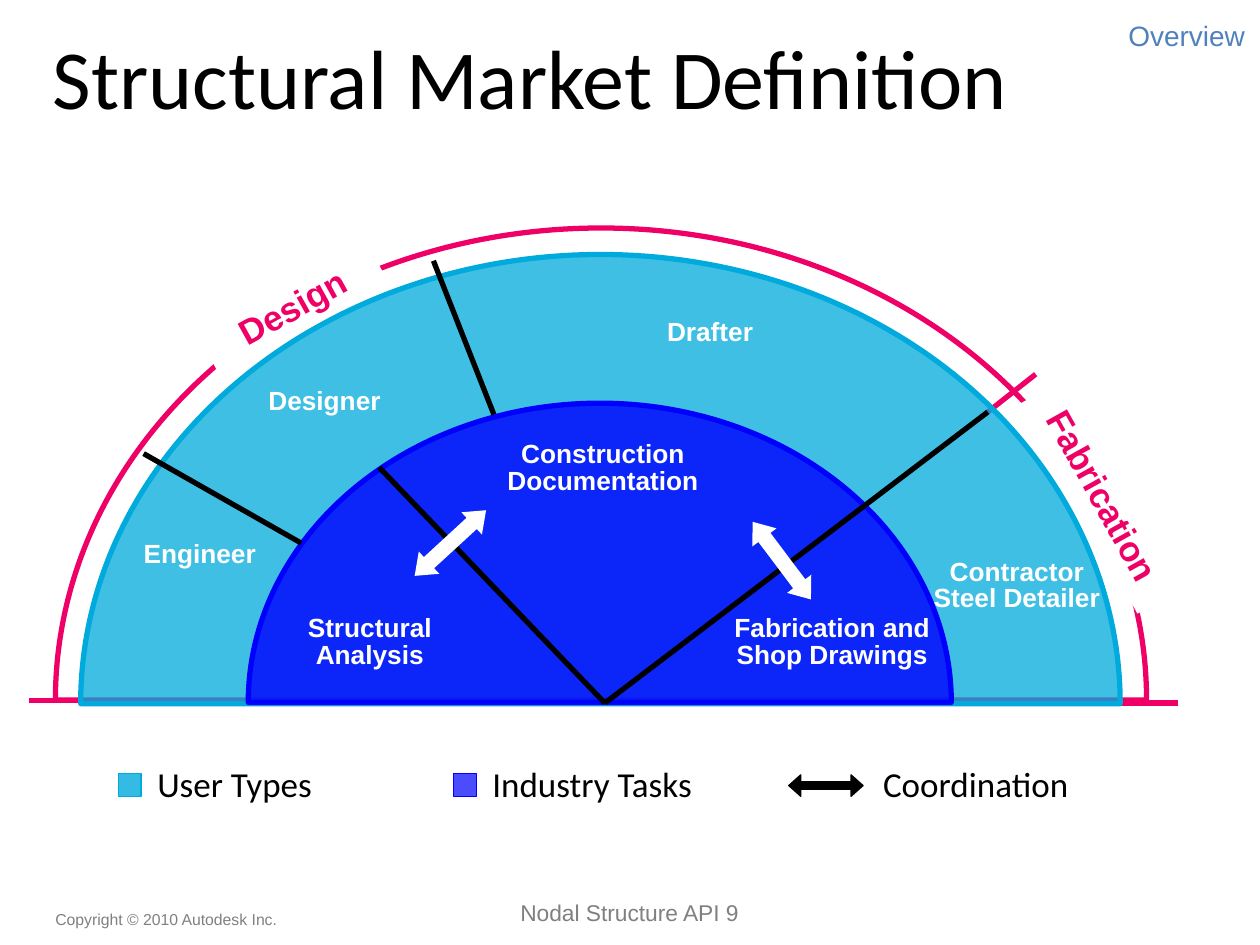
from lxml import etree
from pptx import Presentation
from pptx.dml.color import RGBColor
from pptx.enum.shapes import MSO_CONNECTOR, MSO_SHAPE
from pptx.enum.text import MSO_ANCHOR as Anchor, PP_ALIGN as Align
from pptx.oxml.ns import qn
from pptx.util import Pt

PX = 9144
COLORS = {
    "black": "000000",
    "white": "FFFFFF",
    "pink": "EE0066",
    "user": "00AADD",
    "task": "0000FF",
    "section": "4F81BD",
    "footer": "808080",
}


def rgb(name):
    return RGBColor.from_string(COLORS[name])


def px(*lengths):
    return [length * PX for length in lengths]


def set_alpha(fill, percent):
    color = fill._xPr.find(qn("a:solidFill"))[0]
    etree.SubElement(color, qn("a:alpha"), val=str(percent * 1000))


def add_text_shadow(run):
    fill = run.font._element.find(qn("a:solidFill"))
    effects = etree.Element(qn("a:effectLst"))
    shadow = etree.SubElement(effects, qn("a:outerShdw"),
                              dist="17961", dir="2700000")
    etree.SubElement(shadow, qn("a:srgbClr"), val=COLORS["black"])
    fill.addnext(effects)


def write(shape, text, font, size, color, align=Align.LEFT, bold=False,
          spacing=None, shadow=False):
    shape.text_frame.text = text
    for paragraph in shape.text_frame.paragraphs:
        paragraph.alignment = align
        paragraph.line_spacing = spacing
        for run in paragraph.runs:
            run.font.name = font
            run.font.size = Pt(size)
            run.font.bold = bold
            run.font.color.rgb = rgb(color)
            if shadow:
                add_text_shadow(run)


def add_text(slide, box, text, font, size, color, wrap=True,
             anchor=Anchor.TOP, margins=(10, 5), **style):
    shape = slide.shapes.add_textbox(*px(*box))
    frame = shape.text_frame
    frame.word_wrap = wrap
    frame.vertical_anchor = anchor
    frame.margin_left = frame.margin_right = margins[0] * PX
    frame.margin_top = frame.margin_bottom = margins[1] * PX
    write(shape, text, font, size, color, **style)


def add_shape(slide, kind, box, fill=None, alpha=100, line=None, width=0.75,
              adjustments=(), rotation=0):
    shape = slide.shapes.add_shape(kind, *px(*box))
    shape.shadow.inherit = False
    shape.rotation = rotation
    for index, value in enumerate(adjustments):
        shape.adjustments[index] = value
    if fill:
        shape.fill.solid()
        shape.fill.fore_color.rgb = rgb(fill)
        if alpha < 100:
            set_alpha(shape.fill, alpha)
    else:
        shape.fill.background()
    if line:
        shape.line.color.rgb = rgb(line)
        shape.line.width = Pt(width)
    else:
        shape.line.fill.background()
    return shape


def add_line(slide, start, end, color):
    line = slide.shapes.add_connector(MSO_CONNECTOR.STRAIGHT,
                                      *px(*start, *end))
    line.line.color.rgb = rgb(color)
    line.line.width = Pt(3)
    etree.SubElement(line._element.spPr, qn("a:effectLst"))


def add_header(slide, left, top):
    add_text(slide, (left, top, 968, 125), "Structural Market Definition",
             "Calibri", 48, "black")
    add_text(slide, (left + 736, top, 220, 27), "Overview", "Arial", 16,
             "section", margins=(0, 0), align=Align.RIGHT)


def add_market_diagram(slide, left, top):
    def at(x, y, *size):
        return (left + x, top + y, *size)

    center = (457, 377)
    ticks = [((863, 377), (912, 377)), ((0, 375), (49, 375)),
             ((761, 146), (799, 116))]
    for start, end in ticks:
        add_line(slide, at(*start), at(*end), "pink")

    half_disks = [((21, 0, 866, 749), None, 100, "pink"),
                  ((41, 21, 825, 713), "user", 75, "user"),
                  ((174, 139, 558, 475), "task", 80, "task")]
    for box, fill, alpha, line in half_disks:
        add_shape(slide, MSO_SHAPE.CHORD, at(*box), fill, alpha, line, 3,
                  adjustments=(108, 0))

    dividers = [(center, (278, 190)), (center, (761, 146)),
                ((216, 250), (91, 179)), ((369, 148), (321, 26))]
    for start, end in dividers:
        add_line(slide, at(*start), at(*end), "black")

    for x, y, rotation in [(296, 238, 317.4), (559, 252, 53.1)]:
        add_shape(slide, MSO_SHAPE.LEFT_RIGHT_ARROW, at(x, y, 77, 24),
                  "white", adjustments=(0.5, 0.645), rotation=rotation)

    labels = [("Engineer", (81, 244, 109, 31)),
              ("Designer", (180, 123, 109, 31)),
              ("Drafter", (496, 68, 89, 31)),
              ("Contractor\nSteel Detailer", (707, 258, 154, 53)),
              ("Structural\nAnalysis", (208, 303, 125, 53)),
              ("Construction\nDocumentation", (369, 165, 173, 53)),
              ("Fabrication and\nShop Drawings", (549, 303, 177, 53))]
    for text, box in labels:
        add_text(slide, at(*box), text, "Arial", 15, "white", wrap=False,
                 anchor=Anchor.MIDDLE, align=Align.CENTER, bold=True,
                 spacing=0.85, shadow=True)

    phases = [("Design", (132, 40, 153, 44), 330.9),
              ("Fabrication", (757, 190, 191, 44), 60.9)]
    for text, box, rotation in phases:
        shape = add_shape(slide, MSO_SHAPE.RECTANGLE, at(*box), "white",
                          rotation=rotation)
        write(shape, text, "Arial", 20, "pink", Align.CENTER, bold=True)


def add_legend(slide, left, top):
    pitch = 266
    swatches = [("User Types", "user", 80), ("Industry Tasks", "task", 70)]
    for index, (text, color, alpha) in enumerate(swatches):
        x = left + index * pitch
        add_shape(slide, MSO_SHAPE.RECTANGLE, (x, top + 14, 18, 18),
                  color, alpha, color)
        add_text(slide, (x + 21, top, 180, 44), text, "Calibri", 20,
                 "black", wrap=False)
    x = left + 2 * pitch
    add_shape(slide, MSO_SHAPE.LEFT_RIGHT_ARROW, (x, top + 15, 59, 17),
              "black", line="black", adjustments=(0.354, 0.561))
    add_text(slide, (x + 65, top, 169, 44), "Coordination", "Calibri", 20,
             "black", wrap=False)


def add_footer(slide, left, top):
    add_text(slide, (left + 325, top, 281, 29), "Nodal Structure API 9",
             "Arial", 13, "footer", margins=(7, 4), align=Align.CENTER)
    add_text(slide, (left, top + 8, 268, 25),
             "Copyright © 2010 Autodesk Inc.", "Arial", 9, "footer")


def main():
    presentation = Presentation()
    presentation.slide_width, presentation.slide_height = px(1000, 750)
    slide = presentation.slides.add_slide(presentation.slide_layouts[6])
    add_footer(slide, 34, 709)
    add_header(slide, 32, 15)
    add_market_diagram(slide, 23, 181)
    add_legend(slide, 94, 600)
    presentation.save("out.pptx")


if __name__ == "__main__":
    main()
